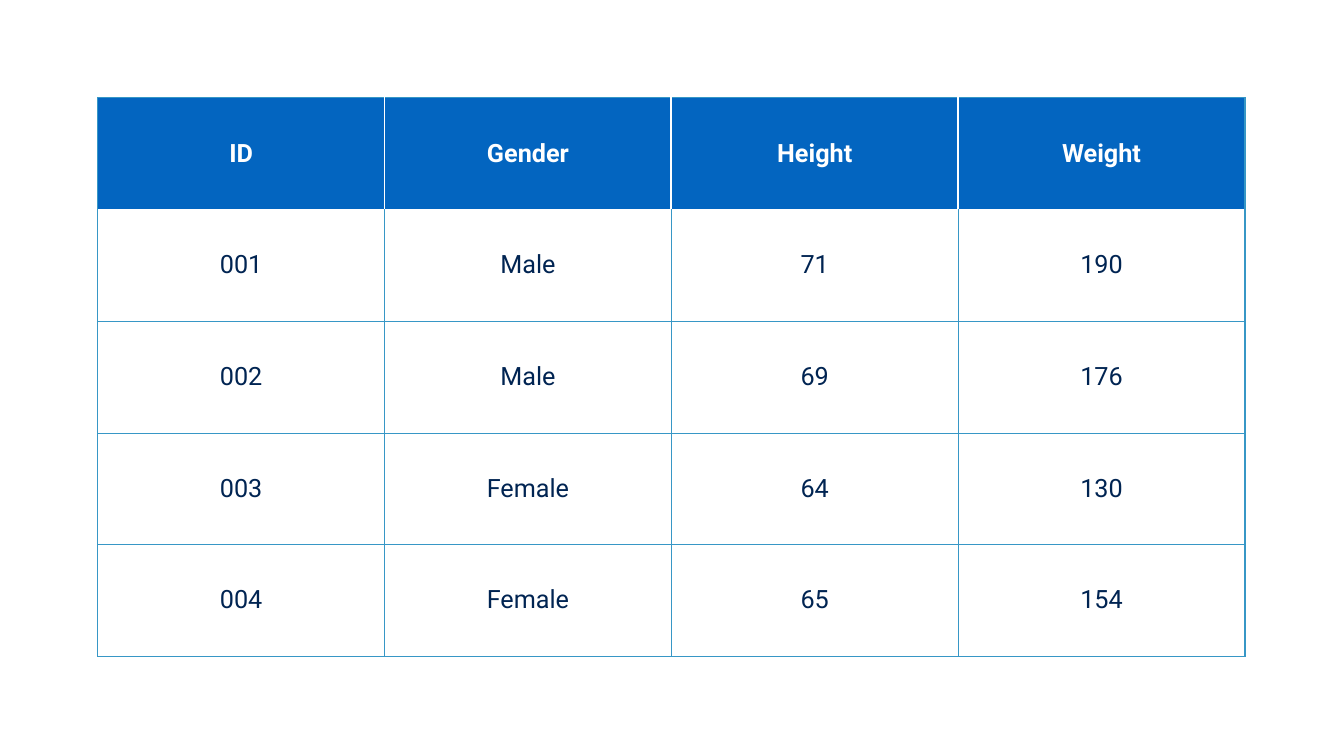
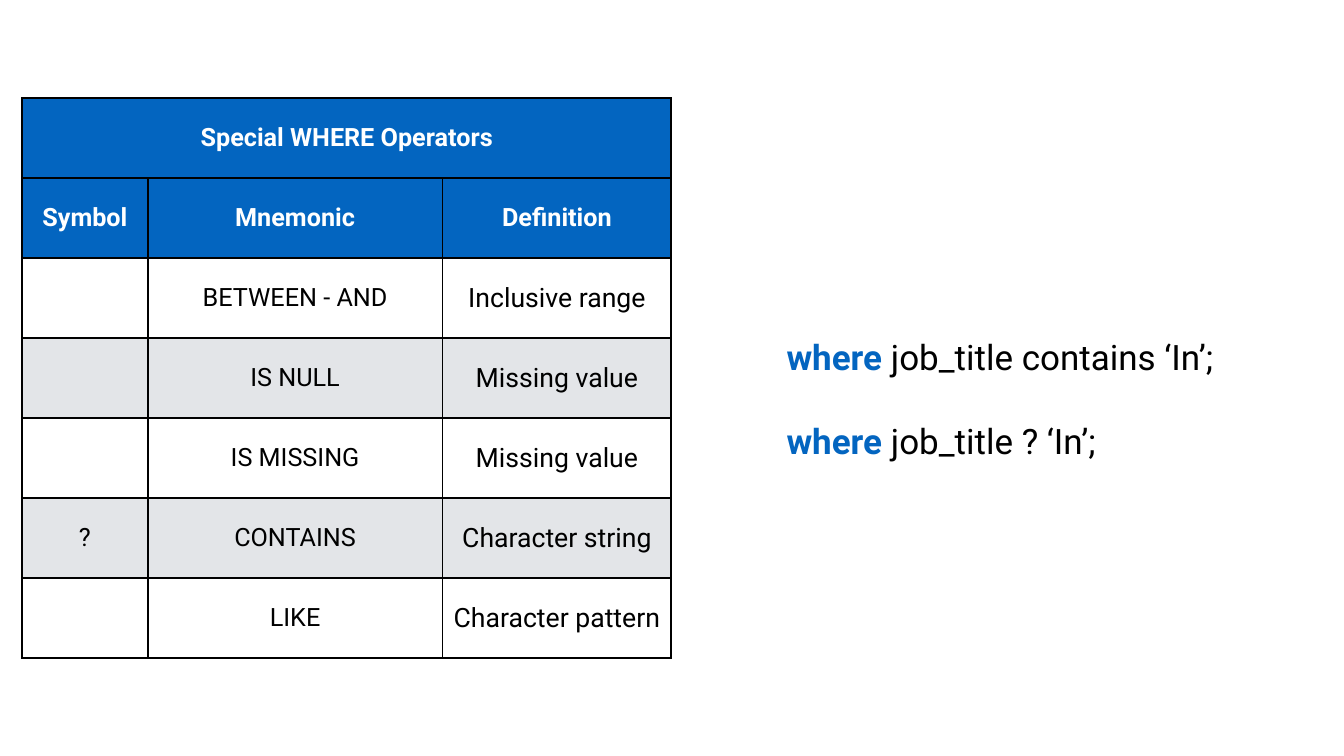
import pptx
import pptx.dml.color
import pptx.enum.text
import pptx.oxml
import pptx.oxml.ns
import pptx.util

Pt = pptx.util.Pt
RGB = pptx.dml.color.RGBColor
ALIGN = pptx.enum.text.PP_ALIGN
MIDDLE = pptx.enum.text.MSO_ANCHOR.MIDDLE

BLUE = RGB(0x03, 0x65, 0xC0)
SKY = RGB(0x37, 0x97, 0xC6)
NAVY = RGB(0x00, 0x24, 0x52)
GREY = RGB(0xE3, 0xE5, 0xE8)
BLACK = RGB(0, 0, 0)
WHITE = RGB(255, 255, 255)
FONT = "Roboto"
INSET = Pt(4)
HEADER = {"size": Pt(36), "bold": True, "color": WHITE}


class Deck:
    """Shared style and the current slide."""

    def __init__(self):
        self.prs = pptx.Presentation()
        self.prs.slide_width, self.prs.slide_height = Pt(1920), Pt(1080)
        self.s = None

    def slide(self):
        self.s = self.prs.slides.add_slide(self.prs.slide_layouts[6])

    def run(self, p, text, style):
        r = p.add_run()
        r.text = text
        r.font.name = FONT
        for key, value in style.items():
            if key == "color":
                r.font.color.rgb = value
            else:
                setattr(r.font, key, value)

    def inset(self, box):
        for side in ("left", "right", "top", "bottom"):
            setattr(box, f"margin_{side}", INSET)

    def border(self, cell, sides):
        """Draw (colour, width) per side L, R, T, B; None leaves a side bare."""
        tcPr = cell._tc.get_or_add_tcPr()
        for i, side in enumerate("LRTB"):
            line = sides[side]
            width, paint = 0, "<a:noFill/>"
            if line:
                width = Pt(line[1])
                paint = f'<a:solidFill><a:srgbClr val="{line[0]}"/></a:solidFill>'
            tcPr.insert(i, pptx.oxml.parse_xml(
                f'<a:ln{side} {pptx.oxml.ns.nsdecls("a")} w="{width}">{paint}</a:ln{side}>'))

    def table(self, left, top, widths, row_height, rows, look):
        """look(row, col) gives the text style, the fill and the borders of a cell."""
        frame = self.s.shapes.add_table(len(rows), len(widths), Pt(left), Pt(top),
                                        Pt(sum(widths)), Pt(row_height * len(rows)))
        table = frame.table
        table.first_row = table.horz_banding = False
        for column, width in zip(table.columns, widths):
            column.width = Pt(width)
        for i, texts in enumerate(rows):
            table.rows[i].height = Pt(row_height)
            for j, text in enumerate(texts):
                cell = table.cell(i, j)
                style, fill, sides = look(i, j)
                cell.fill.solid()
                cell.fill.fore_color.rgb = fill
                self.border(cell, sides)
                self.inset(cell)
                cell.vertical_anchor = MIDDLE
                p = cell.text_frame.paragraphs[0]
                p.alignment = ALIGN.CENTER
                if text:
                    self.run(p, text, style)
        return table

    def text(self, left, top, width, height, lines, line_spacing):
        tf = self.s.shapes.add_textbox(Pt(left), Pt(top), Pt(width), Pt(height)).text_frame
        tf.word_wrap = False
        tf.auto_size = pptx.enum.text.MSO_AUTO_SIZE.SHAPE_TO_FIT_TEXT
        tf.vertical_anchor = MIDDLE
        self.inset(tf)
        for i, line in enumerate(lines):
            p = tf.add_paragraph() if i else tf.paragraphs[0]
            p.alignment = ALIGN.LEFT
            p.line_spacing = line_spacing
            for text, style in line:
                self.run(p, text, style)


PEOPLE = [
    ("ID", "Gender", "Height", "Weight"),
    ("001", "Male", "71", "190"),
    ("002", "Male", "69", "176"),
    ("003", "Female", "64", "130"),
    ("004", "Female", "65", "154"),
]

OPERATORS = [
    ("Special WHERE Operators", "", ""),
    ("Symbol", "Mnemonic", "Definition"),
    ("", "BETWEEN - AND", "Inclusive range"),
    ("", "IS NULL", "Missing value"),
    ("", "IS MISSING", "Missing value"),
    ("?", "CONTAINS", "Character string"),
    ("", "LIKE", "Character pattern"),
]


def people_look(i, j):
    outer, inner = (SKY, 2), (SKY, 1)
    divider = inner if i else (WHITE, 3)
    sides = {
        "L": divider if j else outer,
        "R": outer if j == len(PEOPLE[0]) - 1 else divider,
        "T": outer if i == 0 else inner if i > 1 else None,
        "B": outer if i == len(PEOPLE) - 1 else inner if i else None,
    }
    if i == 0:
        return HEADER, BLUE, sides
    return {"size": Pt(36), "bold": False, "color": NAVY}, WHITE, sides


def operators_look(i, j):
    sides = dict.fromkeys("LRTB", (BLACK, 3))
    if i < 2:
        return HEADER, BLUE, sides
    style = {"size": Pt(38 if j == 2 else 36), "bold": False, "color": BLACK}
    return style, GREY if i % 2 else WHITE, sides


def main():
    deck = Deck()

    # People table
    deck.slide()
    deck.table(139.7, 139.7, [409.7] * 4, 159.55, PEOPLE, people_look)

    # Operators table with a merged heading
    deck.slide()
    table = deck.table(31.7, 140.4, [179.3, 421.2, 326.9], 114.3, OPERATORS, operators_look)
    table.cell(0, 0).merge(table.cell(0, 2))

    # Two equivalent statements
    keyword = {"size": Pt(50), "bold": True, "color": BLUE}
    code = {"size": Pt(50), "bold": False, "color": BLACK}
    conditions = (" job_title contains ‘In’;", " job_title ? ‘In’;")
    deck.text(1119.6, 445.7, 634.3, 187.9,
              [[("where", keyword), (c, code)] for c in conditions], 2.0)

    deck.prs.save("out.pptx")


if __name__ == "__main__":
    main()
